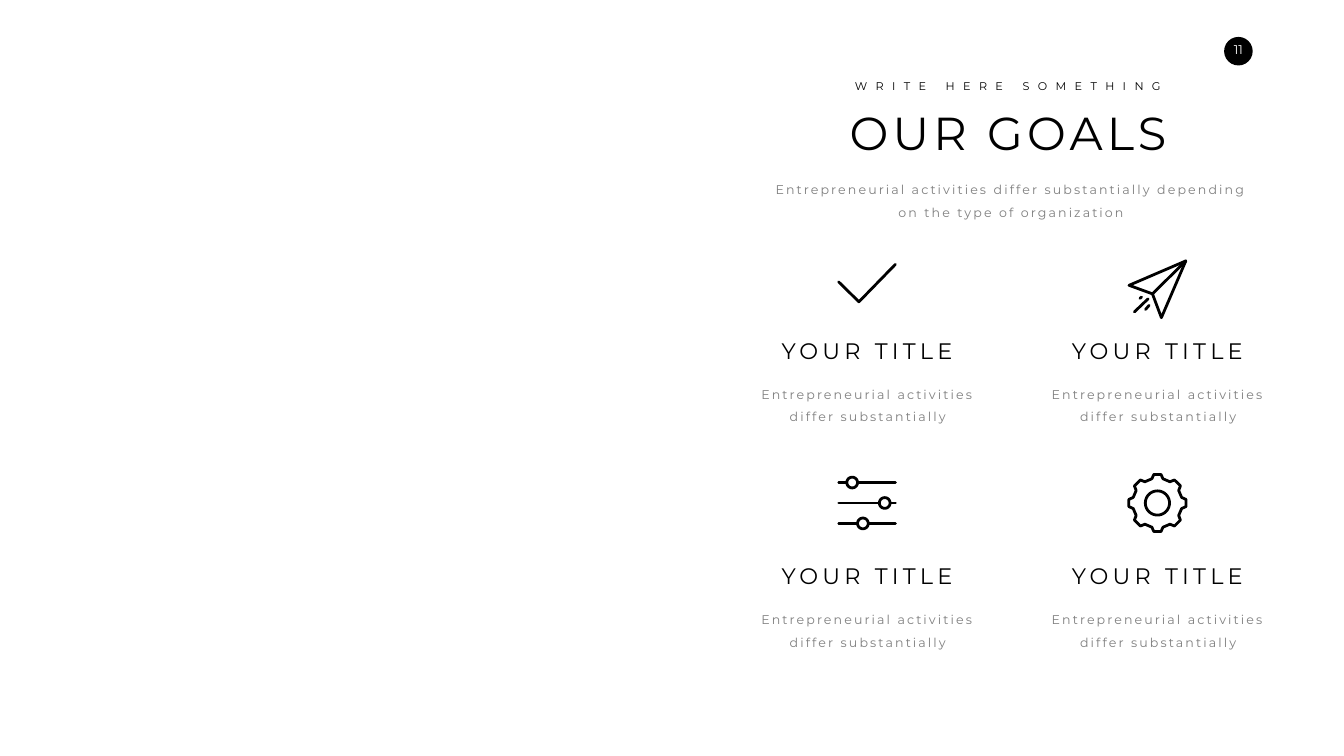
from dataclasses import dataclass
from math import cos, pi, sin

from pptx import Presentation
from pptx.dml.color import RGBColor
from pptx.enum.shapes import MSO_SHAPE
from pptx.enum.text import MSO_AUTO_SIZE, PP_ALIGN
from pptx.oxml.ns import qn
from pptx.util import Cm, Pt

CENTER = PP_ALIGN.CENTER
GROW = MSO_AUTO_SIZE.SHAPE_TO_FIT_TEXT
OVAL = MSO_SHAPE.OVAL


@dataclass(frozen=True)
class Theme:
    font: str = "Montserrat"
    black: RGBColor = RGBColor(0, 0, 0)
    white: RGBColor = RGBColor(255, 255, 255)
    gray: RGBColor = RGBColor(127, 127, 127)
    title: int = 66
    head: int = 32
    body: int = 18
    label: int = 16
    stroke: float = 4


def ring(x, y, radius, steps=40):
    turns = [2 * pi * i / steps for i in range(steps)]
    return [(x + radius * cos(a), y + radius * sin(a)) for a in turns], True


class Deck:
    def __init__(self, theme):
        self.theme = theme
        self.prs = Presentation()
        self.prs.slide_width = Cm(67.72)
        self.prs.slide_height = Cm(38.1)
        self.slide = self.prs.slides.add_slide(self.prs.slide_layouts[6])
        self.shapes = self.slide.shapes

    def text(self, words, x, top, width, height, size, color, gap=0, lead=None, wrap=True):
        box = self.shapes.add_textbox(Cm(x - width / 2), Cm(top), Cm(width), Cm(height))
        frame = box.text_frame
        frame.text = words
        frame.word_wrap = wrap
        frame.auto_size = GROW
        para = frame.paragraphs[0]
        para.alignment = CENTER
        if lead:
            para.line_spacing = lead
        run = para.runs[0]
        run.font.name = self.theme.font
        run.font.size = Pt(size)
        run.font.color.rgb = color
        if gap:
            run._r.get_or_add_rPr().set("spc", str(gap * 100))

    def body(self, words, x, top, width):
        self.text(words, x, top, width, 2.57, self.theme.body, self.theme.gray, 3, 1.5)

    def disc(self, x, y, radius):
        shape = self.shapes.add_shape(
            OVAL, Cm(x - radius), Cm(y - radius), Cm(2 * radius), Cm(2 * radius))
        shape.shadow.inherit = False
        shape.fill.solid()
        shape.fill.fore_color.rgb = self.theme.black
        shape.line.fill.background()

    def icon(self, x, y, strokes):
        pencil = None
        for points, close in strokes:
            spots = [(Cm(x + dx), Cm(y + dy)) for dx, dy in points]
            if pencil:
                pencil.move_to(*spots[0])
            else:
                pencil = self.shapes.build_freeform(*spots[0])
            pencil.add_line_segments(spots[1:], close=close)
        shape = pencil.convert_to_shape()
        shape.shadow.inherit = False
        shape.fill.background()
        shape.line.color.rgb = self.theme.black
        shape.line.width = Pt(self.theme.stroke)
        edge = shape.element.spPr.find(qn("a:ln"))
        edge.set("cap", "rnd")
        edge.append(edge.makeelement(qn("a:round"), {}))

    def check(self, x, y):
        self.icon(x, y, [([(-1.43, -0.06), (-0.41, 0.94), (1.43, -0.95)], False)])

    def plane(self, x, y):
        tip, fold = (1.43, -1.43), (-0.25, 0.23)
        self.icon(x, y, [
            ([tip, (-1.43, -0.2), fold, (0.2, 1.43)], True),
            ([fold, tip], False),
            ([(-0.6, 1.02), (-0.42, 0.81)], False),
            ([(-1.16, 1.14), (-0.47, 0.48)], False),
            ([(-0.88, 0.46), (-0.8, 0.39)], False),
        ])

    def sliders(self, x, y):
        end, radius = 1.43, 0.27
        strokes = []
        for dy, knob in [(-1.03, -0.75), (0, 0.89), (1.03, -0.21)]:
            strokes += [
                ([(-end, dy), (knob - radius, dy)], False),
                ring(knob, dy, radius),
                ([(knob + radius, dy), (end, dy)], False),
            ]
        self.icon(x, y, strokes)

    def gear(self, x, y):
        half = [(0.18, -1.44), (0.28, -1.22), (0.63, -1.07), (0.86, -1.16)]
        part = half + [(-dy, -dx) for dx, dy in reversed(half)]
        points = []
        for _ in range(4):
            points += part
            part = [(-dy, dx) for dx, dy in part]
        self.icon(x, y, [(points, True), ring(0, 0, 0.61)])


def main():
    theme = Theme()
    deck = Deck(theme)

    deck.disc(62.4, 2.58, 0.72)
    deck.text("11", 62.4, 1.98, 2.18, 1.03, theme.body, theme.white, wrap=False)

    deck.text("OUR GOALS", 50.8, 5.13, 29.8, 3.07, theme.title, theme.black, 6)
    deck.text("WRITE HERE SOMETHING", 50.79, 3.86, 17.4, 0.94, theme.label, theme.black, 12)
    deck.body("Entrepreneurial activities differ substantially depending "
              "on the type of organization", 50.95, 8.68, 24.9)

    left, top, across, down = 43.69, 16.86, 14.63, 11.36
    goals = [(deck.check, 14.27), (deck.plane, 14.58), (deck.sliders, 25.35), (deck.gear, 25.35)]
    for i, (draw, y) in enumerate(goals):
        row, col = divmod(i, 2)
        x = left + col * across
        head = top + row * down
        draw(x, y)
        deck.text("YOUR TITLE", x, head, 9.3, 1.63, theme.head, theme.black, 6, wrap=False)
        deck.body("Entrepreneurial activities differ substantially", x + 0.04, head + 2.11, 11.6)

    deck.prs.save("out.pptx")


if __name__ == "__main__":
    main()
